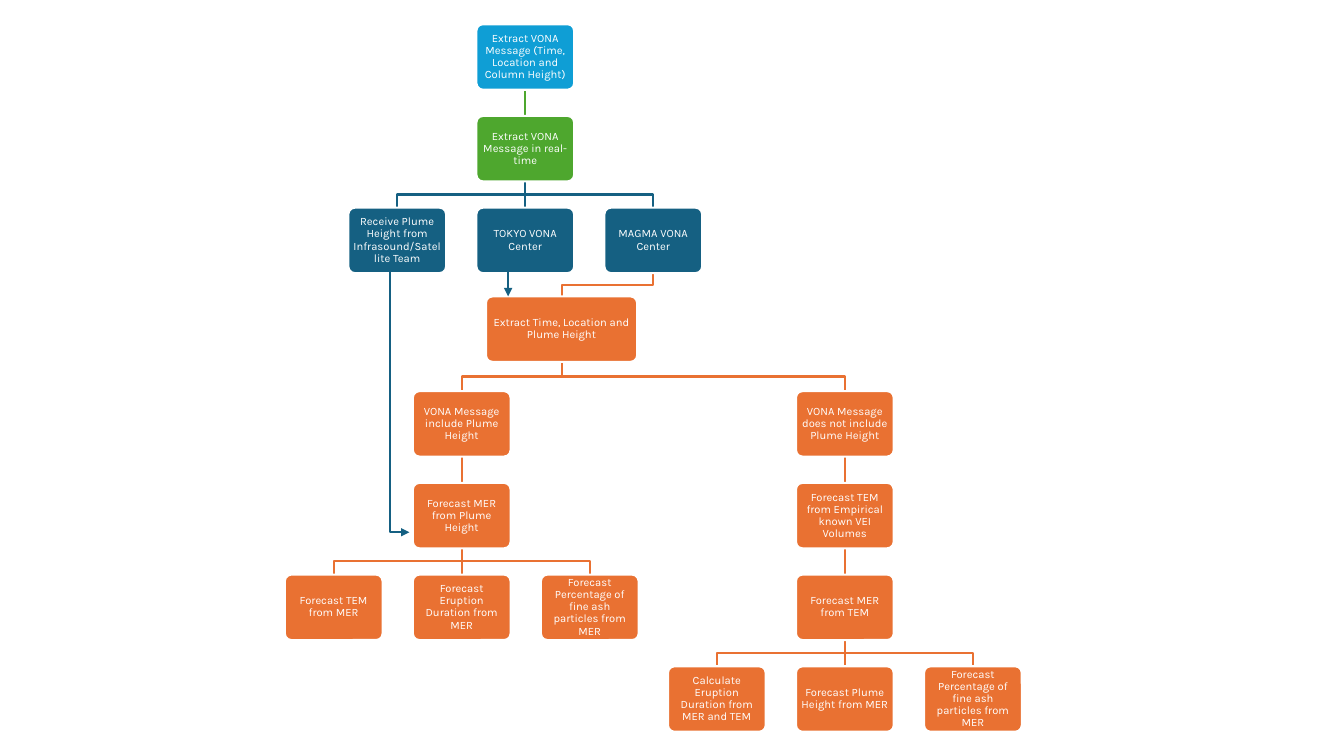
"""Build the VONA message processing flowchart slide."""
from lxml import etree
from pptx import Presentation
from pptx.dml.color import RGBColor
from pptx.enum import shapes, text
from pptx.oxml import ns
from pptx.util import Inches, Pt

BLUE, GREEN, TEAL, ORANGE, WHITE = "0F9ED5", "4EA72E", "156082", "E97132", "FFFFFF"
BOX_W, BOX_H = 0.97, 0.65
TOP, ROW_STEP, COL_STEP = 0.24, 0.91, 1.27
CENTER, LEFT, RIGHT = 5.21, 4.58, 8.38
LINE_PT = 1.5
FINE_ASH = "Forecast Percentage of fine ash particles from MER"

# key: (text, branch centre, column offset, row, colour, parent)
NODES = {
    "message": ("Extract VONA Message (Time, Location and Column Height)", CENTER, 0, 0, BLUE, None),
    "realtime": ("Extract VONA Message in real-time", CENTER, 0, 1, GREEN, "message"),
    "infrasound": ("Receive Plume Height from Infrasound/Satellite Team", CENTER, -1, 2, TEAL, "realtime"),
    "tokyo": ("TOKYO VONA Center", CENTER, 0, 2, TEAL, "realtime"),
    "magma": ("MAGMA VONA Center", CENTER, 1, 2, TEAL, "realtime"),
    "extract": ("Extract Time, Location and Plume Height", 5.57, 0, 3, ORANGE, "magma"),
    "height": ("VONA Message include Plume Height", LEFT, 0, 4, ORANGE, "extract"),
    "mer": ("Forecast MER from Plume Height", LEFT, 0, 5, ORANGE, "height"),
    "tem_out": ("Forecast TEM from MER", LEFT, -1, 6, ORANGE, "mer"),
    "duration_out": ("Forecast Eruption Duration from MER", LEFT, 0, 6, ORANGE, "mer"),
    "ash_out": (FINE_ASH, LEFT, 1, 6, ORANGE, "mer"),
    "no_height": ("VONA Message does not include Plume Height", RIGHT, 0, 4, ORANGE, "extract"),
    "tem": ("Forecast TEM from Empirical known VEI Volumes", RIGHT, 0, 5, ORANGE, "no_height"),
    "mer_tem": ("Forecast MER from TEM", RIGHT, 0, 6, ORANGE, "tem"),
    "duration_calc": ("Calculate Eruption Duration from MER and TEM", RIGHT, -1, 7, ORANGE, "mer_tem"),
    "plume_calc": ("Forecast Plume Height from MER", RIGHT, 0, 7, ORANGE, "mer_tem"),
    "ash_calc": (FINE_ASH, RIGHT, 1, 7, ORANGE, "mer_tem"),
}
WIDTHS = {"extract": 1.5}
TOPS = {"extract": 2.94}
TOKYO_ARROW = (5.04, 2.7, 5.04, 2.94)
INFRASOUND_ARROW = (3.87, 2.7, 4.06, 5.28)
FRAME = dict(word_wrap=True, vertical_anchor=text.MSO_ANCHOR.MIDDLE,
             **{f"margin_{side}": Inches(0.03) for side in ("left", "top", "right", "bottom")})
PARAGRAPH = dict(alignment=text.PP_ALIGN.CENTER, line_spacing=0.9)
FONT = dict(name="Karla", size=Pt(8))


def apply(obj, values):
    """Set attributes from a dict."""
    for name, value in values.items():
        setattr(obj, name, value)


def paint(fmt, color):
    """Give a fill, line or font a colour from a hex string."""
    if hasattr(fmt, "solid"):
        fmt.solid()
        fmt.fore_color.rgb = RGBColor.from_string(color)
    else:
        fmt.color.rgb = RGBColor.from_string(color)


def stroke(sp, color):
    """Style an outline."""
    paint(sp.line, color)
    sp.line.width = Pt(LINE_PT)


def add_box(s, key):
    """Draw one node with its text."""
    label, center, col, row, color, _ = NODES[key]
    w = WIDTHS.get(key, BOX_W)
    x = center + col * COL_STEP - w / 2
    y = TOPS.get(key, TOP + row * ROW_STEP)
    sp = s.shapes.add_shape(shapes.MSO_SHAPE.ROUNDED_RECTANGLE,
                            Inches(x), Inches(y), Inches(w), Inches(BOX_H))
    sp.adjustments[0] = 0.1
    sp.shadow.inherit = False
    paint(sp.fill, color)
    stroke(sp, WHITE)
    tf = sp.text_frame
    apply(tf, FRAME)
    p = tf.paragraphs[0]
    apply(p, PARAGRAPH)
    r = p.add_run()
    r.text = label
    apply(r.font, FONT)
    paint(r.font, WHITE)
    return sp


def add_line(s, kind, x1, y1, x2, y2, color):
    """Draw a connector without a shadow."""
    c = s.shapes.add_connector(kind, x1, y1, x2, y2)
    stroke(c, color)
    etree.SubElement(c._element.spPr, ns.qn("a:effectLst"))
    return c


def add_arrowhead(c):
    """Put a triangle at the end of a connector."""
    etree.SubElement(c.line._get_or_add_ln(), ns.qn("a:tailEnd"), type="triangle")


def add_branch(s, parent, child, color):
    """Link a parent's bottom to a child's top, behind the boxes."""
    x1, y1 = parent.left + parent.width // 2, parent.top + parent.height
    x2, y2 = child.left + child.width // 2, child.top
    if abs(x1 - x2) < Inches(0.01):
        sp = add_line(s, shapes.MSO_CONNECTOR.STRAIGHT, x1, y1, x2, y2, color)
        sp.begin_connect(parent, 2)
        sp.end_connect(child, 0)
    else:
        mid = (y1 + y2) // 2
        fb = s.shapes.build_freeform(x1, y1)
        fb.add_line_segments([(x1, mid), (x2, mid), (x2, y2)], close=False)
        sp = fb.convert_to_shape()
        sp.shadow.inherit = False
        sp.fill.background()
        stroke(sp, color)
    s.shapes._spTree.insert(2, sp._element)


def add_bent_arrow(s, x1, y1, x2, y2, color):
    """Draw an arrow that runs down and then right."""
    w, h = y2 - y1, x2 - x1
    x, y = (x1 + x2 - w) / 2, (y1 + y2 - h) / 2
    c = add_line(s, shapes.MSO_CONNECTOR.ELBOW,
                 *map(Inches, (x, y, x + w, y + h)), color)
    apply(c._element.spPr.xfrm, dict(rot=270.0, flipH=True))
    guides = c._element.spPr.prstGeom.get_or_add_avLst()
    etree.SubElement(guides, ns.qn("a:gd"), name="adj1", fmla="val 100000")
    add_arrowhead(c)


def main():
    """Build and save the slide."""
    prs = Presentation()
    apply(prs, dict(slide_width=Inches(13.33), slide_height=Inches(7.5)))
    s = prs.slides.add_slide(prs.slide_layouts[6])
    boxes = {key: add_box(s, key) for key in NODES}
    for key, (*_, color, parent) in NODES.items():
        if parent:
            add_branch(s, boxes[parent], boxes[key], color)
    add_arrowhead(add_line(s, shapes.MSO_CONNECTOR.STRAIGHT, *map(Inches, TOKYO_ARROW), TEAL))
    add_bent_arrow(s, *INFRASOUND_ARROW, TEAL)
    prs.save("out.pptx")


if __name__ == "__main__":
    main()
